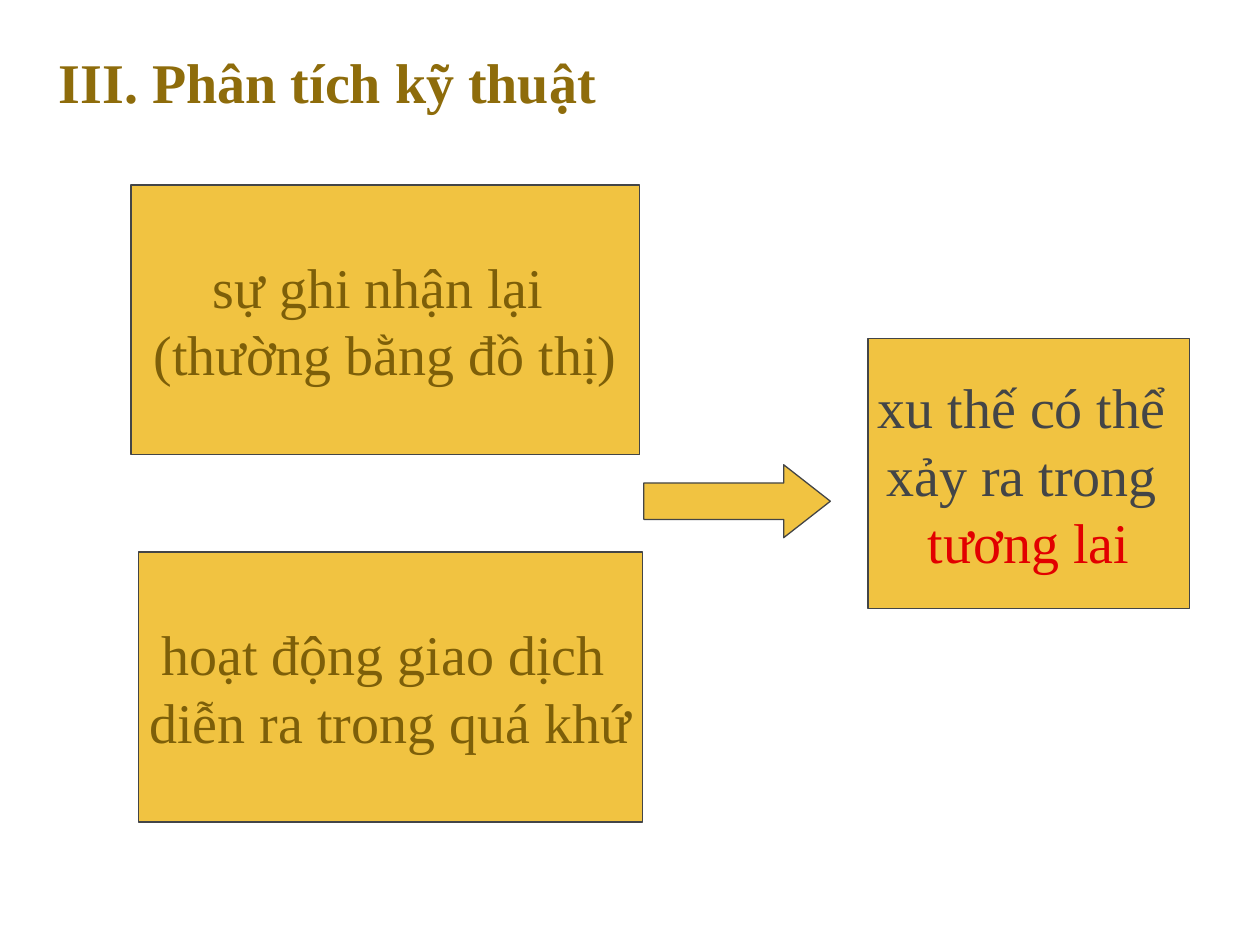
from pptx import Presentation
from pptx import util as u
from pptx.dml.color import RGBColor
from pptx.enum import shapes, text

FONT = "Times New Roman"
GOLD = "F1C341"
SLATE = "434547"
BROWN = "7D5F09"
TITLE_BROWN = "8E6C0B"
RED = "E20000"


def color(value):
    return RGBColor.from_string(value)


def style_span(span, value, bold=False):
    span.font.name = FONT
    span.font.size = u.Pt(32)
    span.font.bold = bold
    span.font.color.rgb = color(value)


def add_title(page, box, words):
    frame = page.shapes.add_textbox(*map(u.Cm, box)).text_frame
    frame.word_wrap = True
    frame.vertical_anchor = text.MSO_ANCHOR.MIDDLE
    frame.text = words
    para = frame.paragraphs[0]
    para.line_spacing = 0.9
    style_span(para.runs[0], TITLE_BROWN, bold=True)


def add_gold_shape(page, kind, box):
    shape = page.shapes.add_shape(kind, *map(u.Cm, box))
    shape.shadow.inherit = False
    shape.fill.solid()
    shape.fill.fore_color.rgb = color(GOLD)
    shape.line.color.rgb = color(SLATE)
    shape.line.width = u.Pt(0.75)
    return shape


def add_card(page, box, lines):
    card = add_gold_shape(page, shapes.MSO_SHAPE.RECTANGLE, box)
    frame = card.text_frame
    frame.word_wrap = False
    frame.vertical_anchor = text.MSO_ANCHOR.MIDDLE
    frame.text = "\v".join(words for words, _ in lines)
    para = frame.paragraphs[0]
    para.alignment = text.PP_ALIGN.CENTER
    for span, (_, value) in zip(para.runs, lines):
        style_span(span, value)


def add_arrow(page, box):
    arrow = add_gold_shape(page, shapes.MSO_SHAPE.RIGHT_ARROW, box)
    arrow.adjustments[0] = 0.5
    arrow.adjustments[1] = 0.64


def main():
    deck = Presentation()
    deck.slide_width, deck.slide_height = u.Cm(25.4), u.Cm(19.05)
    page = deck.slides.add_slide(deck.slide_layouts[6])

    add_title(page, (0.94, 0.79, 23.32, 1.88), "III. Phân tích kỹ thuật")
    card_height = 5.44
    add_card(page, (2.64, 3.73, 10.26, card_height),
             [("sự ghi nhận lại ", BROWN), ("(thường bằng đồ thị)", BROWN)])
    add_card(page, (2.79, 11.13, 10.16, card_height),
             [("hoạt động giao dịch ", BROWN), ("diễn ra trong quá khứ", BROWN)])
    add_card(page, (17.5, 6.83, 6.48, card_height),
             [("xu thế có thể ", SLATE), ("xảy ra trong ", SLATE), ("tương lai", RED)])
    add_arrow(page, (12.98, 9.37, 3.76, 1.47))

    deck.save("out.pptx")


if __name__ == "__main__":
    main()
